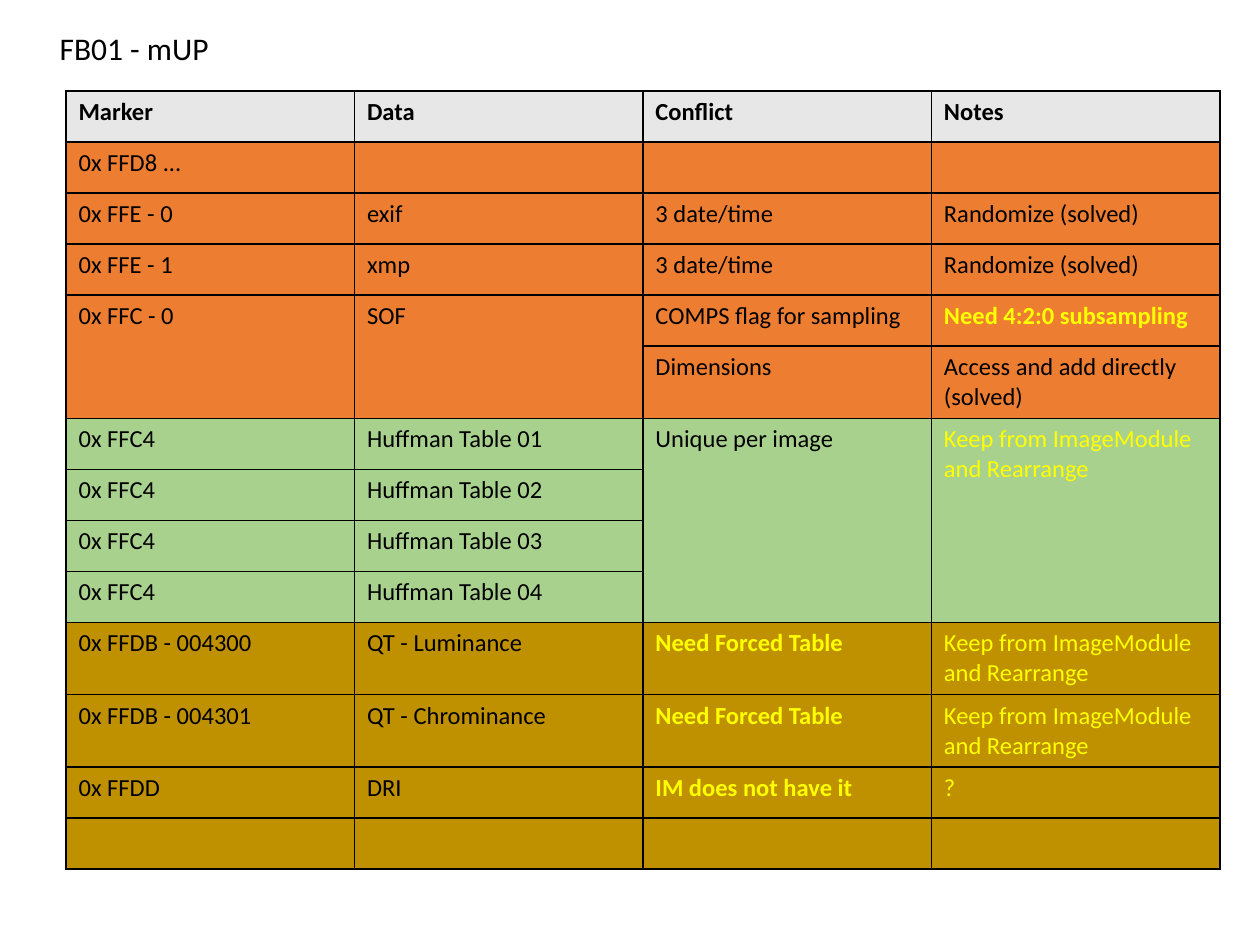
from lxml.etree import SubElement
from pptx import Presentation
from pptx.dml.color import RGBColor
from pptx.enum.text import MSO_ANCHOR, MSO_AUTO_SIZE, PP_ALIGN
from pptx.oxml.ns import qn
from pptx.util import Emu, Inches, Pt

PIXEL = 914400 / 126
BLACK = RGBColor(0x00, 0x00, 0x00)
YELLOW = RGBColor(0xFF, 0xFF, 0x00)
GREY = RGBColor(0xE7, 0xE7, 0xE7)
ORANGE = RGBColor(0xED, 0x7D, 0x31)
GREEN = RGBColor(0xA9, 0xD1, 0x8E)
GOLD = RGBColor(0xBF, 0x90, 0x00)

KEEP = "Keep from ImageModule and Rearrange"
FORCED = "Need Forced Table"
SUBSAMPLING = "Need 4:2:0 subsampling"
MISSING = "IM does not have it"
HEADERS = ("Marker", "Data", "Conflict", "Notes")
BOLD_TEXTS = {*HEADERS, FORCED, SUBSAMPLING, MISSING}
YELLOW_TEXTS = {KEEP, FORCED, SUBSAMPLING, MISSING, "?"}

SECTIONS = [
    (GREY, [HEADERS]),
    (ORANGE, [
        ("0x FFD8 ...", "", "", ""),
        ("0x FFE - 0", "exif", "3 date/time", "Randomize (solved)"),
        ("0x FFE - 1", "xmp", "3 date/time", "Randomize (solved)"),
        ("0x FFC - 0", "SOF", "COMPS flag for sampling", SUBSAMPLING),
        ("", "", "Dimensions", "Access and add directly (solved)"),
    ]),
    (GREEN, [
        ("0x FFC4", "Huffman Table 01", "Unique per image", KEEP),
        ("0x FFC4", "Huffman Table 02", "", ""),
        ("0x FFC4", "Huffman Table 03", "", ""),
        ("0x FFC4", "Huffman Table 04", "", ""),
    ]),
    (GOLD, [
        ("0x FFDB - 004300", "QT - Luminance", FORCED, KEEP),
        ("0x FFDB - 004301", "QT - Chrominance", FORCED, KEEP),
        ("0x FFDD", "DRI", MISSING, "?"),
        ("", "", "", ""),
    ]),
]
MERGES = [(4, 0, 5), (4, 1, 5), (6, 2, 9), (6, 3, 9)]


def pixels(value):
    return Emu(round(value * PIXEL))


class SlideBuilder:
    font_name = "Calibri"
    title_size = 18
    cell_size = 14
    border_width = 1

    def __init__(self, slide):
        self.slide = slide

    def format_text(self, text_frame, size, color, bold=False):
        for paragraph in text_frame.paragraphs:
            paragraph.alignment = PP_ALIGN.LEFT
            for run in paragraph.runs:
                run.font.name = self.font_name
                run.font.size = Pt(size)
                run.font.bold = bold
                run.font.color.rgb = color

    def title(self, text, left, top, width, height):
        shape = self.slide.shapes.title
        shape.left, shape.top = pixels(left), pixels(top)
        shape.width, shape.height = pixels(width), pixels(height)
        text_frame = shape.text_frame
        text_frame.text = text
        text_frame.word_wrap = False
        text_frame.auto_size = MSO_AUTO_SIZE.NONE
        text_frame.vertical_anchor = MSO_ANCHOR.TOP
        self.format_text(text_frame, self.title_size, BLACK)

    def borders(self, cell):
        properties = cell._tc.get_or_add_tcPr()
        for side in ("a:lnL", "a:lnR", "a:lnT", "a:lnB"):
            line = SubElement(properties, qn(side), w=str(Pt(self.border_width)))
            fill = SubElement(line, qn("a:solidFill"))
            SubElement(fill, qn("a:srgbClr"), val=str(BLACK))

    def cell(self, cell, text, fill):
        cell.text_frame.text = text
        color = YELLOW if text in YELLOW_TEXTS else BLACK
        self.format_text(cell.text_frame, self.cell_size, color, text in BOLD_TEXTS)
        self.borders(cell)
        cell.fill.solid()
        cell.fill.fore_color.rgb = fill

    def table(self, sections, merges, left, top, width, row_height):
        rows = [(fill, texts) for fill, section in sections for texts in section]
        frame = self.slide.shapes.add_table(
            len(rows), len(HEADERS), pixels(left), pixels(top),
            pixels(width), pixels(row_height * len(rows)))
        table = frame.table
        for row_index, (fill, texts) in enumerate(rows):
            for column_index, text in enumerate(texts):
                self.cell(table.cell(row_index, column_index), text, fill)
        for first_row, column, last_row in merges:
            table.cell(first_row, column).merge(table.cell(last_row, column))


presentation = Presentation()
presentation.slide_width = Inches(10)
presentation.slide_height = Inches(7.5)
builder = SlideBuilder(presentation.slides.add_slide(presentation.slide_layouts[5]))
builder.title("FB01 - mUP", 47, 23, 176, 50)
builder.table(SECTIONS, MERGES, 66, 91, 1154, 51)
presentation.save("out.pptx")
